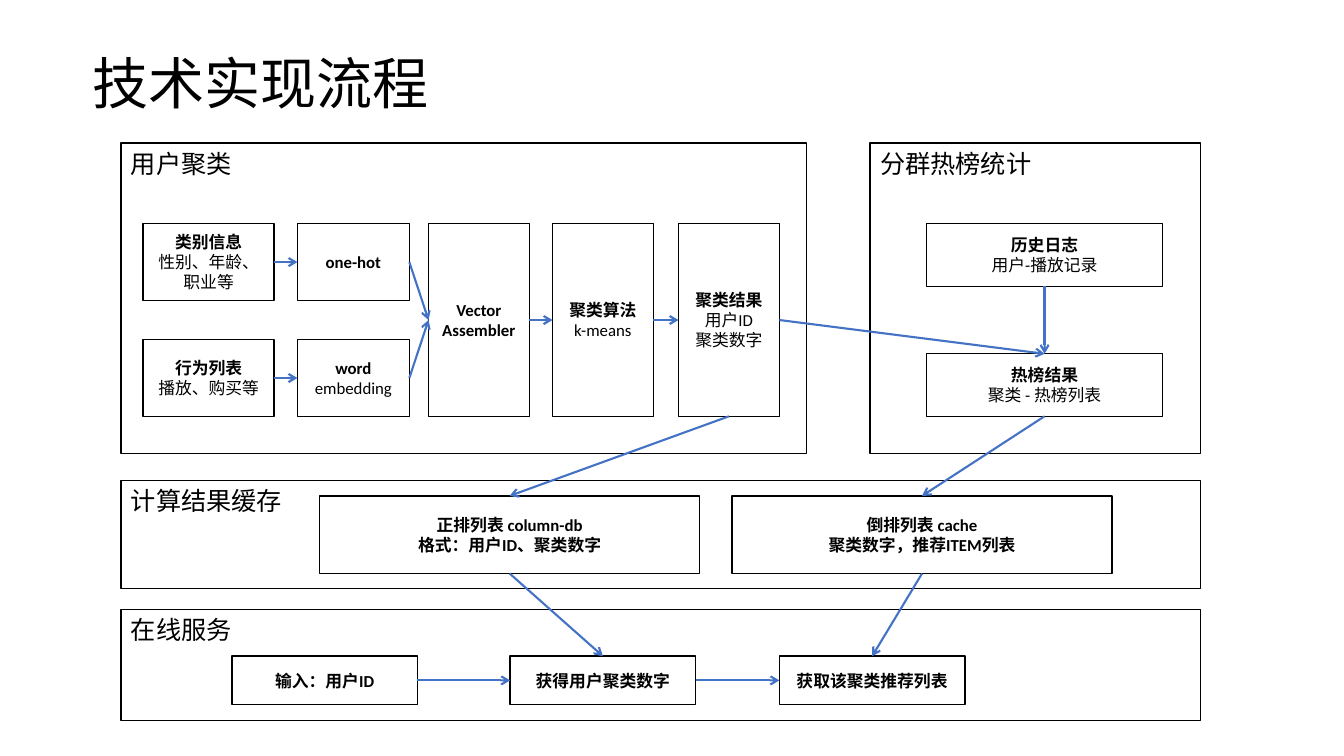
from lxml.etree import SubElement
from pptx import Presentation
from pptx.dml.color import RGBColor
from pptx.enum.shapes import MSO_CONNECTOR, MSO_SHAPE
from pptx.enum.text import MSO_ANCHOR, MSO_AUTO_SIZE, PP_ALIGN
from pptx.oxml.ns import qn
from pptx.util import Inches, Pt

BLACK = RGBColor(0x00, 0x00, 0x00)
WHITE = RGBColor(0xFF, 0xFF, 0xFF)
BLUE = RGBColor(0x44, 0x72, 0xC4)
TOP, LEFT, BOTTOM, RIGHT = range(4)


def write_lines(shape, lines, size, bold_count, alignment, anchor):
    frame = shape.text_frame
    frame.word_wrap = True
    frame.vertical_anchor = anchor
    frame.text = "\n".join(lines)
    for index, paragraph in enumerate(frame.paragraphs):
        paragraph.alignment = alignment
        font = paragraph.runs[0].font
        font.color.rgb = BLACK
        formats = {"name": "Calibri", "size": Pt(size), "bold": index < bold_count}
        for name, value in formats.items():
            setattr(font, name, value)


def add_box(slide, left, top, width, height):
    shape = slide.shapes.add_shape(
        MSO_SHAPE.RECTANGLE, Inches(left), Inches(top), Inches(width), Inches(height)
    )
    shape.shadow.inherit = False
    shape.fill.solid()
    shape.fill.fore_color.rgb = WHITE
    shape.line.color.rgb = BLACK
    shape.line.width = Pt(1)
    return shape


presentation = Presentation()
presentation.slide_width = Inches(13.33)
presentation.slide_height = Inches(7.5)
slide = presentation.slides.add_slide(presentation.slide_layouts[5])

title = slide.shapes.title
title_place = {"left": 0.82, "top": 0.23, "width": 10, "height": 0.98}
for name, value in title_place.items():
    setattr(title, name, Inches(value))
write_lines(title, ["技术实现流程"], 40, 0, PP_ALIGN.LEFT, MSO_ANCHOR.BOTTOM)
title.text_frame.auto_size = MSO_AUTO_SIZE.NONE
title.text_frame.paragraphs[0].line_spacing = 0.9

panels = [
    ("用户聚类", 1.2, 1.42, 6.8, 3.08),
    ("分群热榜统计", 8.63, 1.42, 3.28, 3.08),
    ("计算结果缓存", 1.2, 4.77, 10.71, 1.07),
    ("在线服务", 1.2, 6.05, 10.71, 1.1),
]
for heading, *place in panels:
    panel = add_box(slide, *place)
    write_lines(panel, [heading], 18, 0, PP_ALIGN.LEFT, MSO_ANCHOR.TOP)

steps = [
    ("category", 1.42, 2.22, 1.3, 0.76, 1, ["类别信息", "性别、年龄、职业等"]),
    ("behavior", 1.42, 3.37, 1.3, 0.76, 1, ["行为列表", "播放、购买等"]),
    ("one_hot", 2.95, 2.22, 1.11, 0.76, 1, ["one-hot"]),
    ("embedding", 2.95, 3.37, 1.11, 0.76, 1, ["word", "embedding"]),
    ("assembler", 4.25, 2.22, 1, 1.91, 2, ["Vector", "Assembler"]),
    ("algorithm", 5.48, 2.22, 1, 1.91, 1, ["聚类算法", "k-means"]),
    ("clusters", 6.73, 2.22, 1, 1.91, 1, ["聚类结果", "用户ID", "聚类数字"]),
    ("history", 9.19, 2.22, 2.34, 0.62, 1, ["历史日志", "用户-播放记录"]),
    ("hot_list", 9.19, 3.51, 2.34, 0.62, 1, ["热榜结果", "聚类 - 热榜列表"]),
    ("forward", 3.17, 4.92, 3.77, 0.77, 2, ["正排列表 column-db", "格式：用户ID、聚类数字"]),
    ("inverted", 7.26, 4.92, 3.77, 0.77, 2, ["倒排列表 cache", "聚类数字，推荐ITEM列表"]),
    ("input", 2.3, 6.51, 1.84, 0.48, 1, ["输入：用户ID"]),
    ("lookup", 5.06, 6.51, 1.84, 0.48, 1, ["获得用户聚类数字"]),
    ("recommend", 7.73, 6.51, 1.84, 0.48, 1, ["获取该聚类推荐列表"]),
]
boxes = {}
for key, left, top, width, height, bold_count, lines in steps:
    boxes[key] = add_box(slide, left, top, width, height)
    write_lines(boxes[key], lines, 12, bold_count, PP_ALIGN.CENTER, MSO_ANCHOR.MIDDLE)

arrows = [
    ("category", RIGHT, "one_hot", LEFT),
    ("behavior", RIGHT, "embedding", LEFT),
    ("one_hot", RIGHT, "assembler", LEFT),
    ("embedding", RIGHT, "assembler", LEFT),
    ("assembler", RIGHT, "algorithm", LEFT),
    ("algorithm", RIGHT, "clusters", LEFT),
    ("history", BOTTOM, "hot_list", TOP),
    ("clusters", RIGHT, "hot_list", TOP),
    ("hot_list", BOTTOM, "inverted", TOP),
    ("clusters", BOTTOM, "forward", TOP),
    ("input", RIGHT, "lookup", LEFT),
    ("forward", BOTTOM, "lookup", TOP),
    ("lookup", RIGHT, "recommend", LEFT),
    ("inverted", BOTTOM, "recommend", TOP),
]
for source, source_side, target, target_side in arrows:
    connector = slide.shapes.add_connector(MSO_CONNECTOR.STRAIGHT, 0, 0, 0, 0)
    connector.begin_connect(boxes[source], source_side)
    connector.end_connect(boxes[target], target_side)
    connector.line.color.rgb = BLUE
    connector.line.width = Pt(1.5)
    SubElement(connector.line._get_or_add_ln(), qn("a:tailEnd"), type="arrow")
    SubElement(connector._element.spPr, qn("a:effectLst"))

presentation.save("out.pptx")
